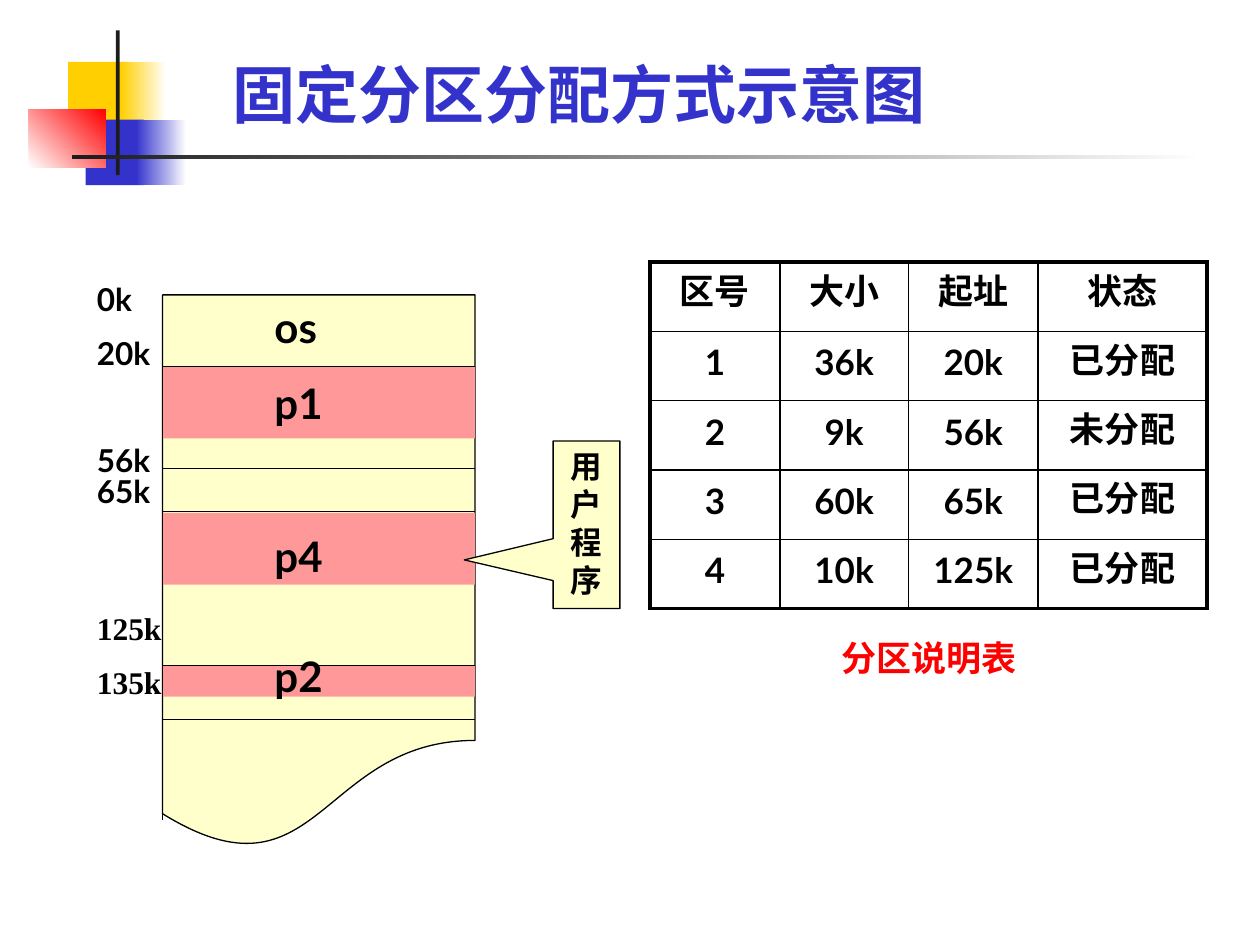
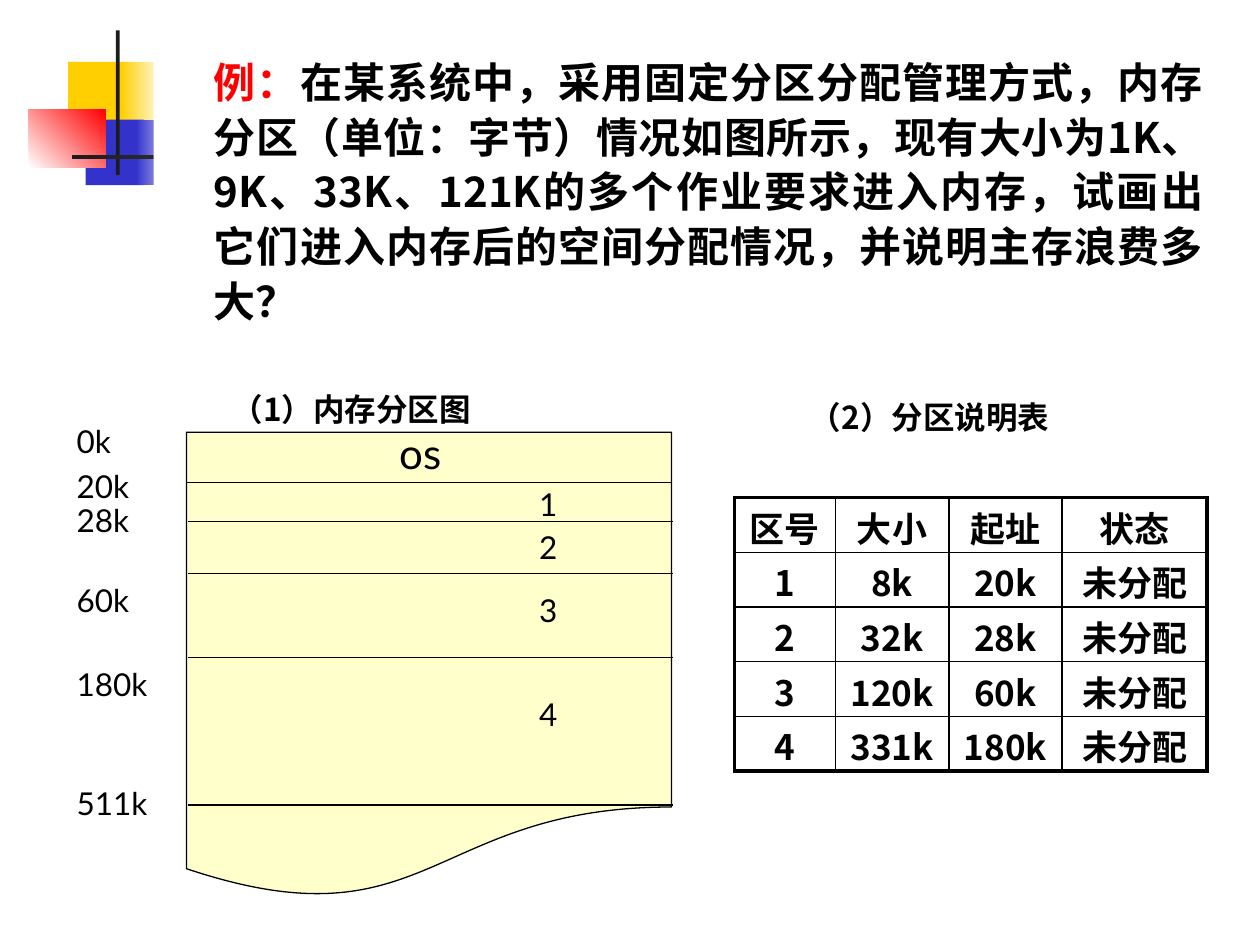
from lxml.etree import SubElement
from pptx import Presentation
from pptx.dml.color import RGBColor
from pptx.enum.shapes import MSO_CONNECTOR, MSO_SHAPE
from pptx.enum.text import MSO_ANCHOR, PP_ALIGN
from pptx.oxml import parse_xml
from pptx.oxml.ns import nsdecls, qn
from pptx.util import Inches, Pt

BLACK = RGBColor(0x00, 0x00, 0x00)
WHITE = RGBColor(0xFF, 0xFF, 0xFF)
INK = RGBColor(0x1C, 0x1C, 0x1C)
GOLD = RGBColor(0xFF, 0xCF, 0x01)
BLUE = RGBColor(0x33, 0x33, 0xCC)
RED = RGBColor(0xFF, 0x00, 0x00)
CREAM = RGBColor(0xFF, 0xFF, 0xCC)
PINK = RGBColor(0xFF, 0x99, 0x99)

LATIN = "Lato"
CHINESE = "Noto Sans CJK SC"
SERIF = "Times New Roman"
LABEL_LINE = 12


class SlideBuilder:
    """Holds the shared style and draws elements on the current slide."""

    def __init__(self, presentation):
        self.presentation = presentation
        self.slide = None
        self.base = {"name": LATIN, "size": Pt(18), "bold": False}

    def start(self):
        layout = self.presentation.slide_layouts[6]
        self.slide = self.presentation.slides.add_slide(layout)
        self.block((0.54, 0.49, 0.48, 0.52), GOLD)
        self.block((0.96, 0.49, 0.36, 0.52), (GOLD, WHITE))
        self.block((0.68, 0.95, 0.46, 0.52), BLUE)
        self.block((1.08, 0.95, 0.4, 0.52), (BLUE, WHITE))
        self.block((0.23, 0.87, 0.61, 0.46), (WHITE, RED), angle=45)
        self.block((0.92, 0.24, 0.03, 1.15), INK)
        self.block((0.57, 1.23, 9, 0.03), (INK, WHITE))

    def block(self, box, fill, kind=MSO_SHAPE.RECTANGLE, angle=0, outlined=False):
        shape = self.slide.shapes.add_shape(kind, *map(Inches, box))
        shape.shadow.inherit = False
        if isinstance(fill, RGBColor):
            shape.fill.solid()
            shape.fill.fore_color.rgb = fill
        else:
            shape.fill.gradient()
            shape.fill.gradient_angle = angle
            for stop, color in zip(shape.fill.gradient_stops, fill):
                stop.color.rgb = color
        if outlined:
            shape.line.color.rgb = BLACK
            shape.line.width = Pt(0.75)
        else:
            shape.line.fill.background()
        return shape

    def line(self, start, end):
        connector = self.slide.shapes.add_connector(
            MSO_CONNECTOR.STRAIGHT, *map(Inches, start + end))
        connector.line.color.rgb = BLACK
        connector.line.width = Pt(0.75)
        SubElement(connector._element.spPr, qn("a:effectLst"))

    def add_words(self, paragraph, text, color=BLACK, align=PP_ALIGN.LEFT, spacing=1.2,
                  **font):
        values = {**self.base, **font}
        run = paragraph.add_run()
        run.text = text
        for name, value in values.items():
            setattr(run.font, name, value)
        run.font.color.rgb = color
        SubElement(run._r.rPr, qn("a:ea")).set("typeface", CHINESE)
        paragraph.alignment = align
        paragraph.line_spacing = Pt(round(values["size"].pt * spacing, 1))

    def frame(self, box):
        text_frame = self.slide.shapes.add_textbox(*map(Inches, box)).text_frame
        text_frame.word_wrap = True
        return text_frame

    def text(self, box, text, **style):
        text_frame = self.frame(box)
        self.add_words(text_frame.paragraphs[0], text, **style)
        return text_frame

    def addresses(self, box, labels, **style):
        text_frame = self.frame(box)
        for index, (label, gap, font_name) in enumerate(labels):
            paragraph = text_frame.add_paragraph() if index else text_frame.paragraphs[0]
            self.add_words(paragraph, label, name=font_name, **style)
            if index:
                paragraph.line_spacing = Pt(LABEL_LINE)
                paragraph.space_before = Pt(gap)

    def memory(self, box, borders, offset=0):
        left, _, width, _ = box
        for y in borders:
            self.line((left + offset, y), (left + offset + width, y))

    def table(self, box, columns, rows, margins, **style):
        shape = self.slide.shapes.add_table(len(rows), len(columns), *map(Inches, box))
        table = shape.table
        table.first_row = table.horz_banding = False
        for column, width in zip(table.columns, columns):
            column.width = Inches(width)
        for row_index, values in enumerate(rows):
            table.rows[row_index].height = Inches(box[3] / len(rows))
            for column_index, value in enumerate(values):
                cell = table.cell(row_index, column_index)
                cell.fill.background()
                cell.margin_top, cell.margin_bottom = map(Inches, margins)
                self.add_words(cell.text_frame.paragraphs[0], value, size=Pt(20), bold=True,
                               align=PP_ALIGN.CENTER, **style)
                outer = {"L": column_index == 0, "R": column_index == len(columns) - 1,
                         "T": row_index == 0, "B": row_index == len(rows) - 1}
                self.borders(cell, outer)

    def borders(self, cell, outer):
        properties = cell._tc.get_or_add_tcPr()
        for index, (side, is_outer) in enumerate(outer.items()):
            width = Pt(2.25 if is_outer else 1)
            properties.insert(index, parse_xml(
                f'<a:ln{side} {nsdecls("a")} w="{width}"><a:solidFill>'
                f'<a:srgbClr val="{BLACK}"/></a:solidFill></a:ln{side}>'))


def draw_fixed_partitions(builder):
    builder.start()
    title = builder.text((1.75, 0.13, 7.58, 0.93), "固定分区分配方式示意图", color=BLUE,
                         name=CHINESE, size=Pt(36), bold=True)
    title.vertical_anchor = MSO_ANCHOR.BOTTOM
    title.margin_bottom = Inches(0.02)

    memory = (1.29, 2.34, 2.48, 4.41)
    builder.block(memory, CREAM, MSO_SHAPE.FLOWCHART_DOCUMENT, outlined=True)
    for top, height in ((2.91, 0.57), (4.07, 0.57), (5.28, 0.25)):
        builder.block((1.29, top, 2.48, height), PINK)
    builder.memory(memory, (2.91, 3.72, 4.06, 5.28, 5.71))
    builder.line((1.29, 6.51), (1.29, 2.34))
    for name, top in (("os", 2.34), ("p1", 2.95), ("p4", 4.16), ("p2", 5.11)):
        builder.text((2.08, top, 0.71, 0.5), name, size=Pt(24), bold=True)
    builder.addresses((0.67, 2.17, 0.8, 3.69), (
        ("0k", 0, LATIN), ("20k", 19, LATIN), ("56k", 49, LATIN),
        ("65k", 6, LATIN), ("125k", 66, SERIF), ("135k", 19, SERIF)), bold=True)

    callout = builder.block((4.39, 3.5, 0.53, 1.33), CREAM,
                            MSO_SHAPE.RECTANGULAR_CALLOUT, outlined=True)
    callout.adjustments[0], callout.adjustments[1] = -1.83, 0.21
    callout.text_frame.word_wrap = True
    callout.text_frame.vertical_anchor = MSO_ANCHOR.TOP
    builder.add_words(callout.text_frame.paragraphs[0], "用户程序", bold=True,
                      align=PP_ALIGN.CENTER)

    builder.table((5.16, 2.08, 4.42, 2.75), (1.03, 1.02, 1.03, 1.34), (
        ("区号", "大小", "起址", "状态"),
        ("1", "36k", "20k", "已分配"),
        ("2", "9k", "56k", "未分配"),
        ("3", "60k", "65k", "已分配"),
        ("4", "10k", "125k", "已分配")), (0.08, 0.05))
    builder.text((6.58, 5, 2.08, 0.43), "分区说明表", color=RED, size=Pt(20), bold=True)


def draw_example(builder):
    builder.start()
    body = builder.block((1.22, 0.36, 8.43, 2.36), WHITE).text_frame
    body.word_wrap = True
    body.vertical_anchor = MSO_ANCHOR.TOP
    paragraph = body.paragraphs[0]
    question = {"name": CHINESE, "size": Pt(24), "bold": True,
                "align": PP_ALIGN.JUSTIFY, "spacing": 1.31}
    builder.add_words(paragraph, "例：", color=RED, **question)
    builder.add_words(paragraph, "在某系统中，采用固定分区分配管理方式，内存分区（单位：字节）"
                      "情况如图所示，现有大小为1K、9K、33K、121K的多个作业要求进入内存，"
                      "试画出它们进入内存后的空间分配情况，并说明主存浪费多大？", **question)
    paragraph._p.get_or_add_pPr().set("marL", str(Inches(0.38)))

    memory = (1.48, 3.43, 3.85, 3.71)
    builder.block(memory, CREAM, MSO_SHAPE.FLOWCHART_DOCUMENT, outlined=True)
    builder.memory(memory, (3.83,))
    builder.memory(memory, (4.14, 4.55, 5.22, 6.39), offset=0.01)
    builder.line((1.48, 6.38), (1.48, 3.43))
    builder.text((3.07, 3.34, 0.75, 0.5), "os", size=Pt(24))
    for number, top in enumerate((3.8, 4.14, 4.64, 5.47), start=1):
        builder.text((4.18, top, 1.1, 0.4), str(number))
    builder.addresses((0.51, 3.3, 1.24, 3.23), (
        ("0k", 0, LATIN), ("20k", 14, LATIN), ("28k", 7, LATIN),
        ("60k", 34, LATIN), ("180k", 36, LATIN), ("511k", 56, LATIN)))

    builder.table((5.83, 3.95, 3.75, 2.17), (0.8, 0.9, 0.9, 1.15), (
        ("区号", "大小", "起址", "状态"),
        ("1", "8k", "20k", "未分配"),
        ("2", "32k", "28k", "未分配"),
        ("3", "120k", "60k", "未分配"),
        ("4", "331k", "180k", "未分配")), (0.1, 0), name=CHINESE)
    for box, caption in (((1.74, 3.05, 3.3, 0.4), "（1）内存分区图"),
                         ((6.33, 3.11, 2.33, 0.4), "（2）分区说明表")):
        builder.text(box, caption, name=CHINESE, bold=True)


def main():
    presentation = Presentation()
    presentation.slide_width = Inches(10)
    presentation.slide_height = Inches(7.5)
    builder = SlideBuilder(presentation)
    draw_fixed_partitions(builder)
    draw_example(builder)
    presentation.save("out.pptx")


if __name__ == "__main__":
    main()
